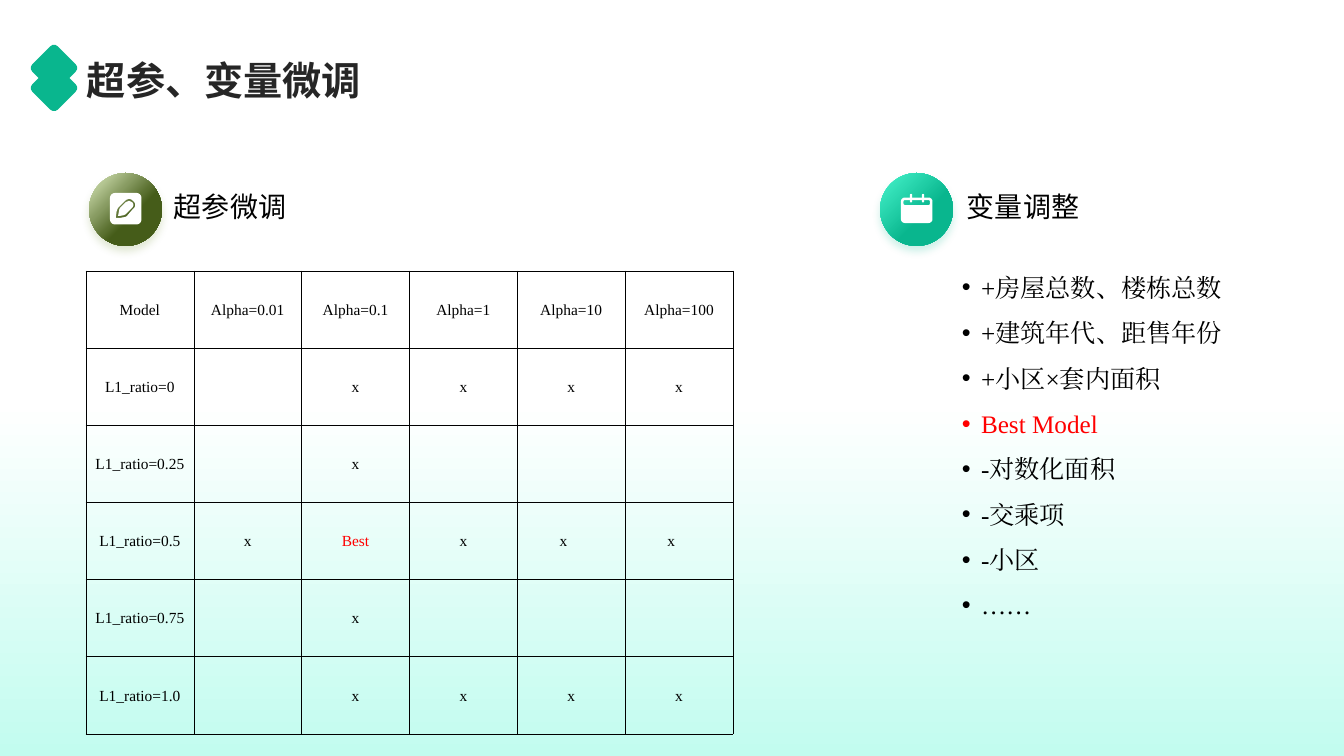
from dataclasses import dataclass
from math import cos, pi, sin

from lxml.etree import SubElement
from pptx import Presentation
from pptx.dml.color import RGBColor
from pptx.enum.shapes import MSO_SHAPE
from pptx.enum.text import MSO_ANCHOR, PP_ALIGN
from pptx.oxml import parse_xml
from pptx.oxml.ns import nsdecls, qn
from pptx.util import Pt

PX = 914400 / 100.8


@dataclass(frozen=True)
class Theme:
    white: str = "FFFFFF"
    black: str = "000000"
    title: str = "262626"
    best: str = "FF0000"
    mint: str = "C2FCEF"
    teal: str = "09B68E"
    teal_light: str = "49F6CE"
    olive: str = "455C19"
    olive_light: str = "DFEEC1"
    olive_shadow: str = "678A26"
    title_font: str = "Noto Sans CJK JP"
    heading_font: str = "Noto Sans CJK SC"
    body_font: str = "Times New Roman"
    title_size: int = 28
    heading_size: int = 20
    list_size: int = 18
    table_size: int = 11


THEME = Theme()

GRID = [
    ["Model", "Alpha=0.01", "Alpha=0.1", "Alpha=1", "Alpha=10", "Alpha=100"],
    ["L1_ratio=0", "", "x", "x", "x", "x"],
    ["L1_ratio=0.25", "", "x", "", "", ""],
    ["L1_ratio=0.5", "x", "Best", "x", "x　", "x　"],
    ["L1_ratio=0.75", "", "x", "", "", ""],
    ["L1_ratio=1.0", "", "x", "x", "x", "x"],
]
VARIABLES = ["+房屋总数、楼栋总数", "+建筑年代、距售年份", "+小区×套内面积",
             "Best Model", "-对数化面积", "-交乘项", "-小区", "……"]


def emu(*lengths):
    return [round(length * PX) for length in lengths]


def apply(target, **values):
    for name, value in values.items():
        setattr(target, name, value)


def write(para, text, font, size, color, bold=False):
    span = para.add_run()
    span.text = text
    apply(span.font, name=font, size=Pt(size), bold=bold)
    span.font.color.rgb = RGBColor.from_string(color)
    SubElement(span.font._element, qn("a:ea"), typeface=font)


def add_frame(page, box, anchor):
    frame = page.shapes.add_textbox(*emu(*box)).text_frame
    apply(frame, word_wrap=True, vertical_anchor=anchor, margin_left=0,
          margin_right=0, margin_top=0, margin_bottom=0)
    return frame


def add_plain_shape(page, kind, box):
    shape = page.shapes.add_shape(kind, *emu(*box))
    shape.shadow.inherit = False
    shape.line.fill.background()
    return shape


def fill_solid(shape, color):
    shape.fill.solid()
    shape.fill.fore_color.rgb = RGBColor.from_string(color)


def fill_gradient(shape, stops, angle):
    """Fill with two (position, colour) stops; the angle runs clockwise."""
    shape.fill.gradient()
    shape.fill.gradient_angle = 360 - angle
    for stop, (position, color) in zip(shape.fill.gradient_stops, stops):
        stop.position = position
        stop.color.rgb = RGBColor.from_string(color)


def rounded_box(x, y, width, height, radius):
    """Return the points of a rounded rectangle."""
    corners = [(x + width - radius, y + height - radius), (x + radius, y + height - radius),
               (x + radius, y + radius), (x + width - radius, y + radius)]
    return [(cx + radius * cos((quarter + step / 6) * pi / 2),
             cy + radius * sin((quarter + step / 6) * pi / 2))
            for quarter, (cx, cy) in enumerate(corners) for step in range(7)]


def curved(start, *segments):
    """Return points along lines (one point) and cubic curves (three points)."""
    points = [start]
    for segment in segments:
        if len(segment) == 1:
            points += segment
            continue
        knots = (points[-1], *segment)
        for step in range(1, 9):
            t = step / 8
            weights = ((1 - t) ** 3, 3 * t * (1 - t) ** 2, 3 * t * t * (1 - t), t ** 3)
            points.append(tuple(sum(w * knot[axis] for w, knot in zip(weights, knots))
                                for axis in (0, 1)))
    return points


def add_outline(page, left, top, contours):
    """Draw contours given in tenths of a px; inner contours become holes."""
    builder = page.shapes.build_freeform(*contours[0][0], scale=PX / 10)
    for index, points in enumerate(contours):
        if index:
            builder.move_to(*points[0])
        builder.add_line_segments(points[1:], close=True)
    shape = builder.convert_to_shape(*emu(left, top))
    shape.shadow.inherit = False
    shape.line.fill.background()
    fill_solid(shape, THEME.white)


def draw_leaf(page, left, top):
    outer = curved((190, 60), [(180, 60), (160, 70), (150, 80)], [(90, 140)],
                   [(60, 160), (60, 250), (60, 250)], [(60, 250), (150, 250), (170, 230)],
                   [(230, 160)], [(260, 140), (260, 100), (230, 80)],
                   [(220, 70), (210, 60), (190, 60)])
    inner = curved((190, 80), [(200, 80), (210, 90), (220, 90)],
                   [(240, 110), (240, 130), (220, 150)], [(160, 210)],
                   [(150, 220), (120, 230), (80, 230)], [(90, 200), (90, 160), (100, 150)],
                   [(160, 90)], [(170, 90), (180, 80), (190, 80)])
    add_outline(page, left + 21, top + 20, [rounded_box(0, 0, 315, 315, 50), outer, inner])


def draw_calendar(page, left, top):
    body, window = rounded_box(0, 35, 315, 255, 40), rounded_box(25, 60, 265, 50, 15)
    add_outline(page, left + 21, top + 21, [body, window])
    add_outline(page, left + 21, top + 21, [rounded_box(x, 0, 22, 85, 11) for x in (90, 210)])


def add_heading(page, box, text, text_left, colors, draw_icon):
    """Place a round badge in the box and its heading text_left px to the right."""
    left, top, width, height = box
    light, dark, shadow = colors
    badge = add_plain_shape(page, MSO_SHAPE.OVAL, box)
    fill_gradient(badge, [(0, light), (0.6, dark)], 45)
    badge._element.spPr.find(qn("a:effectLst")).append(parse_xml(
        f'<a:outerShdw {nsdecls("a")} blurRad="{Pt(6)}" dist="{Pt(4)}" dir="5400000" '
        f'algn="t" rotWithShape="0"><a:srgbClr val="{shadow}"><a:alpha val="20000"/>'
        '</a:srgbClr></a:outerShdw>'))
    draw_icon(page, left, top)
    frame = add_frame(page, (left + text_left, top + 20, 202, 30), MSO_ANCHOR.BOTTOM)
    para = frame.paragraphs[0]
    para.line_spacing = 1.3
    write(para, text, THEME.heading_font, THEME.heading_size, THEME.black)


def add_title(page, box, text):
    left, top, width, height = box
    para = add_frame(page, box, MSO_ANCHOR.MIDDLE).paragraphs[0]
    para.line_spacing = 1.1
    write(para, text, THEME.title_font, THEME.title_size, THEME.title, bold=True)
    for offset in (-2, 18):
        tile = add_plain_shape(page, MSO_SHAPE.ROUNDED_RECTANGLE,
                               (left - 51, top + offset, 36, 36))
        tile.adjustments[0] = 0.15
        tile.rotation = 45
        fill_solid(tile, THEME.teal)


def add_bullets(page, box, items):
    frame = add_frame(page, box, MSO_ANCHOR.TOP)
    for index, item in enumerate(items):
        para = frame.add_paragraph() if index else frame.paragraphs[0]
        para.line_spacing = 1.5
        properties = para._p.get_or_add_pPr()
        indent = emu(19)[0]
        properties.set("marL", str(indent))
        properties.set("indent", str(-indent))
        SubElement(properties, qn("a:buFont"), typeface="Arial")
        SubElement(properties, qn("a:buChar"), char="•")
        color = THEME.best if item.startswith("Best") else THEME.black
        write(para, item, THEME.body_font, THEME.list_size, color)


def add_border(cell):
    properties = cell._tc.get_or_add_tcPr()
    for index, side in enumerate("LRTB"):
        properties.insert(index, parse_xml(
            f'<a:ln{side} {nsdecls("a")} w="{Pt(0.5)}"><a:solidFill>'
            f'<a:srgbClr val="{THEME.black}"/></a:solidFill></a:ln{side}>'))


def add_grid(page, box, rows):
    table = page.shapes.add_table(len(rows), len(rows[0]), *emu(*box)).table
    apply(table, first_row=False, horz_banding=False)
    for r, row in enumerate(rows):
        for c, text in enumerate(row):
            cell = table.cell(r, c)
            margin = emu(1)[0]
            apply(cell, vertical_anchor=MSO_ANCHOR.MIDDLE, margin_left=margin,
                  margin_right=margin, margin_top=margin, margin_bottom=0)
            cell.fill.background()
            add_border(cell)
            if text:
                para = cell.text_frame.paragraphs[0]
                para.alignment = PP_ALIGN.CENTER
                color = THEME.best if text == "Best" else THEME.black
                write(para, text, THEME.body_font, THEME.table_size, color)


def main():
    deck = Presentation()
    deck.slide_width, deck.slide_height = emu(1344, 756)
    page = deck.slides.add_slide(deck.slide_layouts[6])
    backdrop = add_plain_shape(page, MSO_SHAPE.RECTANGLE, (0, 0, 1344, 756))
    fill_gradient(backdrop, [(0.53, THEME.white), (1, THEME.mint)], 90)
    add_title(page, (87, 52, 1176, 51), "超参、变量微调")
    add_heading(page, (89, 173, 73, 73), "超参微调", 85,
                (THEME.olive_light, THEME.olive, THEME.olive_shadow), draw_leaf)
    add_heading(page, (880, 173, 73, 73), "变量调整", 87,
                (THEME.teal_light, THEME.teal, THEME.teal), draw_calendar)
    add_grid(page, (86, 271, 647, 463), GRID)
    add_bullets(page, (962, 257, 316, 455), VARIABLES)
    deck.save("out.pptx")


if __name__ == "__main__":
    main()
